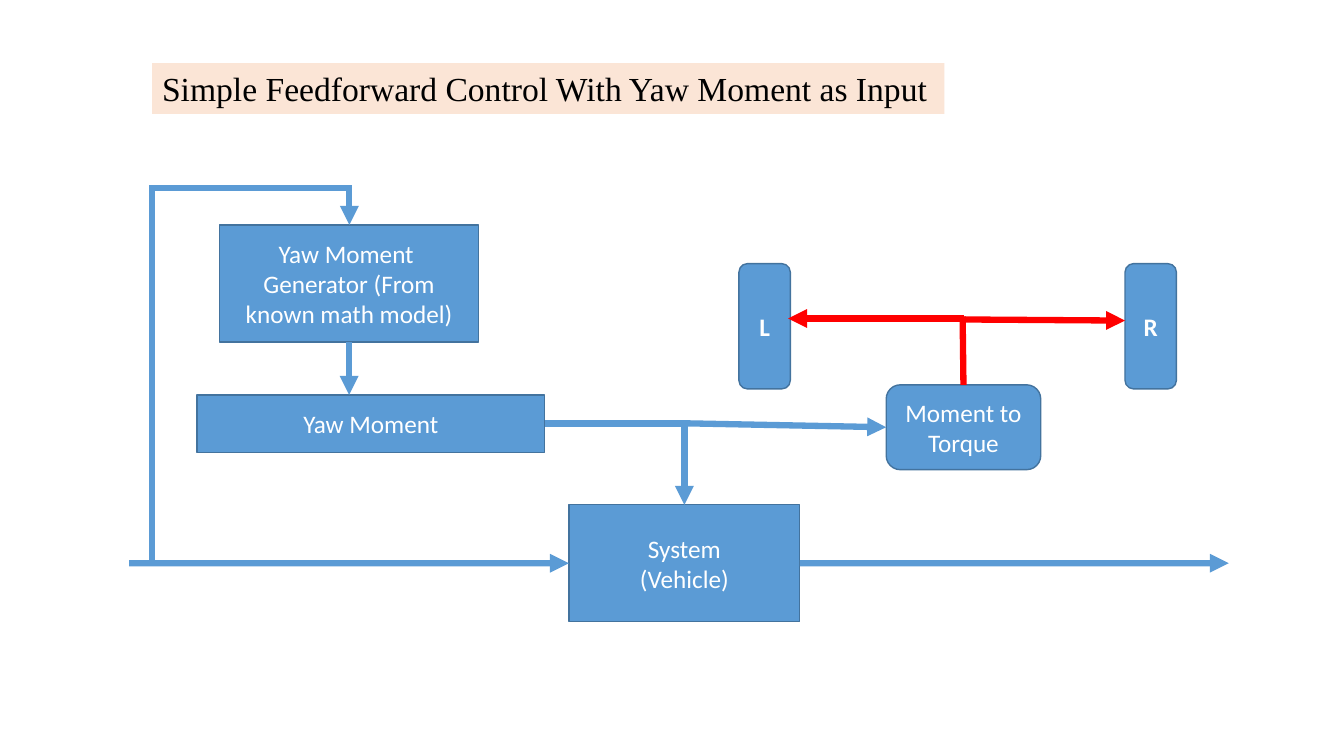
"""Build a block diagram of feedforward control with yaw moment as input."""
from dataclasses import dataclass
from typing import Optional

import lxml.etree
import pptx
import pptx.dml.color
import pptx.enum.shapes
import pptx.enum.text
import pptx.oxml.ns
import pptx.util

Pt = pptx.util.Pt
RGBColor = pptx.dml.color.RGBColor
Shapes = pptx.enum.shapes.MSO_SHAPE
Connectors = pptx.enum.shapes.MSO_CONNECTOR

BLUE = RGBColor(0x5B, 0x9B, 0xD5)
DARK_BLUE = RGBColor(0x43, 0x73, 0x9E)
RED = RGBColor(0xFF, 0x00, 0x00)
PEACH = RGBColor(0xFB, 0xE5, 0xD6)
WHITE = RGBColor(0xFF, 0xFF, 0xFF)
BLACK = RGBColor(0x00, 0x00, 0x00)

TOP, LEFT, BOTTOM, RIGHT = range(4)


@dataclass(frozen=True)
class Block:
    key: str
    lines: tuple[str, ...]
    left: float
    top: float
    width: float
    height: float
    rounded: bool = False
    bold: bool = False


@dataclass(frozen=True)
class Joint:
    block: str
    side: int


@dataclass(frozen=True)
class Link:
    start: tuple[float, float]
    end: tuple[float, float]
    color: RGBColor = BLUE
    arrow: bool = True
    start_joint: Optional[Joint] = None
    end_joint: Optional[Joint] = None
    preset: str = "line"
    rotation: int = 0
    bend: Optional[int] = None


BLOCKS = (
    Block("system", ("System", "(Vehicle)"), 406.4, 360.6, 164.9, 83.5),
    Block("yaw moment", ("Yaw Moment",), 140.7, 282.1, 248.4, 41),
    Block("generator", ("Yaw Moment ", "Generator (From known math model)"),
          156.9, 160.7, 185, 83.6),
    Block("torque", ("Moment to Torque",), 633, 274.9, 110.4, 60.6, rounded=True),
    Block("left wheel", ("L",), 527.8, 188.3, 36.7, 89.5, rounded=True, bold=True),
    Block("right wheel", ("R",), 803.6, 188.3, 36.7, 89.5, rounded=True, bold=True),
)

LINKS = (
    Link((92.2, 402.3), (406.4, 402.3), end_joint=Joint("system", LEFT)),
    Link((389.1, 302.6), (488.8, 360.6), preset="bentConnector2",
         start_joint=Joint("yaw moment", RIGHT), end_joint=Joint("system", TOP)),
    Link((571.3, 402.3), (877.7, 402.3), start_joint=Joint("system", RIGHT)),
    Link((300, 352.1), (58.1, 211.2), preset="bentConnector3", rotation=90, bend=111000),
    Link((249.4, 244.3), (249.4, 282.1), start_joint=Joint("generator", BOTTOM)),
    Link((687.6, 228.2), (803.6, 229), RED),
    Link((688.3, 227.5), (563, 227.5), RED),
    Link((490, 302.4), (633, 305.2), end_joint=Joint("torque", LEFT)),
    Link((688.2, 274.9), (687.6, 226.1), RED, arrow=False, start_joint=Joint("torque", TOP)),
)


def draw_title(slide: pptx.slide.Slide) -> None:
    """Add the shaded title."""
    box = slide.shapes.add_textbox(Pt(108.7), Pt(45), Pt(565.9), Pt(36.3))
    box.fill.solid()
    box.fill.fore_color.rgb = PEACH
    frame = box.text_frame
    frame.word_wrap = False
    frame.auto_size = pptx.enum.text.MSO_AUTO_SIZE.SHAPE_TO_FIT_TEXT
    frame.text = "Simple Feedforward Control With Yaw Moment as Input"
    font = frame.paragraphs[0].font
    font.name, font.size = "Times New Roman", Pt(24)
    font.color.rgb = BLACK


def draw_block(slide: pptx.slide.Slide, block: Block) -> pptx.shapes.autoshape.Shape:
    """Add one labelled block."""
    kind = Shapes.ROUNDED_RECTANGLE if block.rounded else Shapes.RECTANGLE
    shape = slide.shapes.add_shape(
        kind, Pt(block.left), Pt(block.top), Pt(block.width), Pt(block.height))
    shape.shadow.inherit = False
    shape.fill.solid()
    shape.fill.fore_color.rgb = BLUE
    shape.line.color.rgb = DARK_BLUE
    shape.line.width = Pt(1)
    frame = shape.text_frame
    frame.word_wrap = True
    frame.vertical_anchor = pptx.enum.text.MSO_ANCHOR.MIDDLE
    frame.text = "\n".join(block.lines)
    for paragraph in frame.paragraphs:
        paragraph.alignment = pptx.enum.text.PP_ALIGN.CENTER
        font = paragraph.font
        font.name, font.size, font.bold = "Calibri", Pt(18), block.bold
        font.color.rgb = WHITE
    return shape


def draw_link(slide: pptx.slide.Slide, link: Link,
              shapes: dict[str, pptx.shapes.autoshape.Shape]) -> None:
    """Add one straight or bent connector."""
    qn = pptx.oxml.ns.qn
    kind = Connectors.STRAIGHT if link.preset == "line" else Connectors.ELBOW
    connector = slide.shapes.add_connector(
        kind, *(Pt(value) for value in link.start + link.end))
    if link.start_joint:
        connector.begin_connect(shapes[link.start_joint.block], link.start_joint.side)
    if link.end_joint:
        connector.end_connect(shapes[link.end_joint.block], link.end_joint.side)
    connector.line.color.rgb = link.color
    connector.line.width = Pt(4.5)
    properties = connector._element.spPr
    outline = properties.find(qn("a:ln"))
    lxml.etree.SubElement(outline, qn("a:miter"), lim="800000")
    if link.arrow:
        lxml.etree.SubElement(outline, qn("a:tailEnd"), type="triangle")
    lxml.etree.SubElement(properties, qn("a:effectLst"))
    geometry = properties.find(qn("a:prstGeom"))
    geometry.set("prst", link.preset)
    if link.rotation:
        properties.find(qn("a:xfrm")).set("rot", str(link.rotation * 60000))
    if link.bend is not None:
        lxml.etree.SubElement(geometry.find(qn("a:avLst")), qn("a:gd"),
                              name="adj1", fmla=f"val {link.bend}")


def main() -> None:
    """Draw the slide and save it."""
    presentation = pptx.Presentation()
    presentation.slide_width, presentation.slide_height = Pt(960), Pt(540)
    slide = presentation.slides.add_slide(presentation.slide_layouts[6])
    draw_title(slide)
    shapes = {block.key: draw_block(slide, block) for block in BLOCKS}
    for link in LINKS:
        draw_link(slide, link, shapes)
    presentation.save("out.pptx")


if __name__ == "__main__":
    main()
